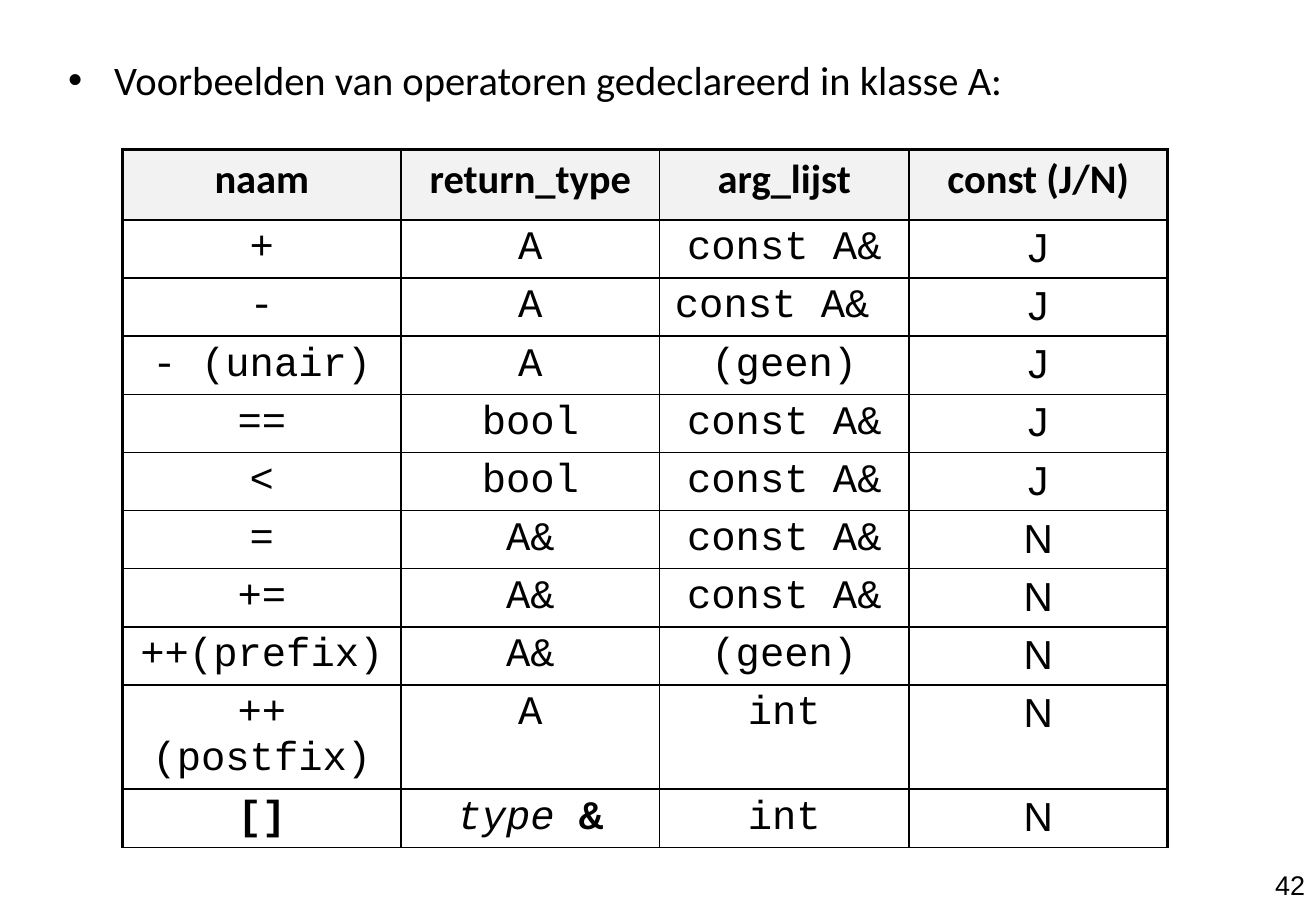
"""Build a slide that lists example operators declared in class A."""
from dataclasses import dataclass

from lxml import etree
from pptx import Presentation
from pptx import util as u
from pptx.dml.color import RGBColor
from pptx.enum import text
from pptx.oxml import ns

COLOURS = {"ink": "000000", "header": "F2F2F2", "paper": "FFFFFF"}
COLUMN_WIDTHS = [2.29, 2.13, 2.05, 2.13]
HEADER_HEIGHT, ROW_HEIGHT, WRAPPED_HEIGHT = 0.58, 0.47, 0.85
THIN, THICK = 1, 2.25
CELL_FORMAT = {"margin_left": u.Inches(0.11), "margin_right": u.Inches(0.11),
               "margin_top": u.Inches(0.05), "margin_bottom": u.Inches(0.05)}
TITLE_FORMAT = {"left": u.Inches(0.46), "top": u.Inches(0.25),
                "width": u.Inches(9.35), "height": u.Inches(0.61)}
FRAME_FORMAT = {"word_wrap": True, "vertical_anchor": text.MSO_ANCHOR.TOP,
                "auto_size": text.MSO_AUTO_SIZE.NONE}


@dataclass
class Span:
    words: str
    name: str = "Courier New"
    bold: bool = False
    italic: bool = False
    size: float = 24


@dataclass
class Operator:
    name: str
    return_type: str
    arguments: str
    const: str
    height: float = ROW_HEIGHT

    def cells(self) -> list[list[Span]]:
        """Give the spans of the four cells in the row."""
        if self.name == "[]":
            returned = [Span("type ", italic=True), Span("&", bold=True)]
        else:
            returned = [Span(self.return_type)]
        return [[Span(self.name, bold=self.name == "[]")], returned,
                [Span(self.arguments)], [Span(self.const, "Arial")]]


HEADINGS = ["naam", "return_type", "arg_lijst", "const (J/N)"]
OPERATORS = [
    Operator("+", "A", "const A&", "J"),
    Operator("-", "A", "const A& ", "J"),
    Operator("- (unair)", "A", "(geen)", "J"),
    Operator("==", "bool", "const A&", "J"),
    Operator("<", "bool", "const A&", "J"),
    Operator("=", "A&", "const A&", "N"),
    Operator("+=", "A&", "const A&", "N"),
    Operator("++(prefix)", "A&", "(geen)", "N"),
    Operator("++(postfix)", "A", "int", "N", WRAPPED_HEIGHT),
    Operator("[]", "type &", "int", "N"),
]


def apply(target: object, values: dict) -> None:
    """Set every named attribute on the target."""
    for name, value in values.items():
        setattr(target, name, value)


def write(para: object, spans: list[Span], align: text.PP_ALIGN) -> None:
    """Add formatted spans to a paragraph."""
    para.alignment = align
    for item in spans:
        span = para.add_run()
        span.text = item.words
        apply(span.font, {"name": item.name, "size": u.Pt(item.size),
                          "bold": item.bold, "italic": item.italic})
        span.font.color.rgb = RGBColor.from_string(COLOURS["ink"])


def draw_borders(cell: object, widths: dict[str, float]) -> None:
    """Give a cell its four solid borders."""
    properties = cell._tc.get_or_add_tcPr()
    for side, width in widths.items():
        line = etree.SubElement(properties, ns.qn(f"a:ln{side}"), w=str(u.Pt(width)))
        fill = etree.SubElement(line, ns.qn("a:solidFill"))
        etree.SubElement(fill, ns.qn("a:srgbClr"), val=COLOURS["ink"])


def draw_title(page: object) -> None:
    """Format the title placeholder as a bulleted heading."""
    title = page.shapes.title
    apply(title, TITLE_FORMAT)
    apply(title.text_frame, FRAME_FORMAT)
    para = title.text_frame.paragraphs[0]
    para.line_spacing = u.Pt(40)
    heading = "Voorbeelden van operatoren gedeclareerd in klasse A:"
    write(para, [Span(heading, "Calibri")], text.PP_ALIGN.LEFT)
    properties = para._p.get_or_add_pPr()
    properties.set("marL", str(u.Inches(0.38)))
    properties.set("indent", str(-u.Inches(0.38)))
    etree.SubElement(properties, ns.qn("a:buFont"), typeface="Arial")
    etree.SubElement(properties, ns.qn("a:buChar"), char="•")


def draw_table(page: object) -> None:
    """Draw the operator table."""
    rows = [[[Span(words, "Calibri", bold=True)] for words in HEADINGS]]
    rows += [operator.cells() for operator in OPERATORS]
    heights = [HEADER_HEIGHT] + [operator.height for operator in OPERATORS]
    frame = page.shapes.add_table(len(rows), len(COLUMN_WIDTHS), u.Inches(1.01), u.Inches(1.23),
                                  u.Inches(sum(COLUMN_WIDTHS)), u.Inches(sum(heights)))
    table = frame.table
    apply(table, {"first_row": False, "horz_banding": False})
    for column, width in zip(table.columns, COLUMN_WIDTHS):
        column.width = u.Inches(width)
    last = len(COLUMN_WIDTHS) - 1
    for row, (cells, height) in enumerate(zip(rows, heights)):
        table.rows[row].height = u.Inches(height)
        for column, spans in enumerate(cells):
            cell = table.cell(row, column)
            apply(cell, CELL_FORMAT)
            write(cell.text_frame.paragraphs[0], spans, text.PP_ALIGN.CENTER)
            draw_borders(cell, {"L": THICK if column == 0 else THIN,
                                "R": THICK if column == last else THIN,
                                "T": THICK if row == 0 else THIN, "B": THIN})
            cell.fill.solid()
            colour = COLOURS["header" if row == 0 else "paper"]
            cell.fill.fore_color.rgb = RGBColor.from_string(colour)


def draw_page_number(page: object) -> None:
    """Write the page number in the lower right corner."""
    box = page.shapes.add_textbox(u.Inches(8.31), u.Inches(7.1), u.Inches(2.53), u.Inches(0.4))
    apply(box.text_frame, FRAME_FORMAT)
    write(box.text_frame.paragraphs[0], [Span("42", "Arial", size=16)], text.PP_ALIGN.RIGHT)


def main() -> None:
    """Build and save the deck."""
    deck = Presentation()
    apply(deck, {"slide_width": u.Inches(10.83), "slide_height": u.Inches(7.5)})
    page = deck.slides.add_slide(deck.slide_layouts[5])
    draw_title(page)
    draw_table(page)
    draw_page_number(page)
    deck.save("out.pptx")


if __name__ == "__main__":
    main()
